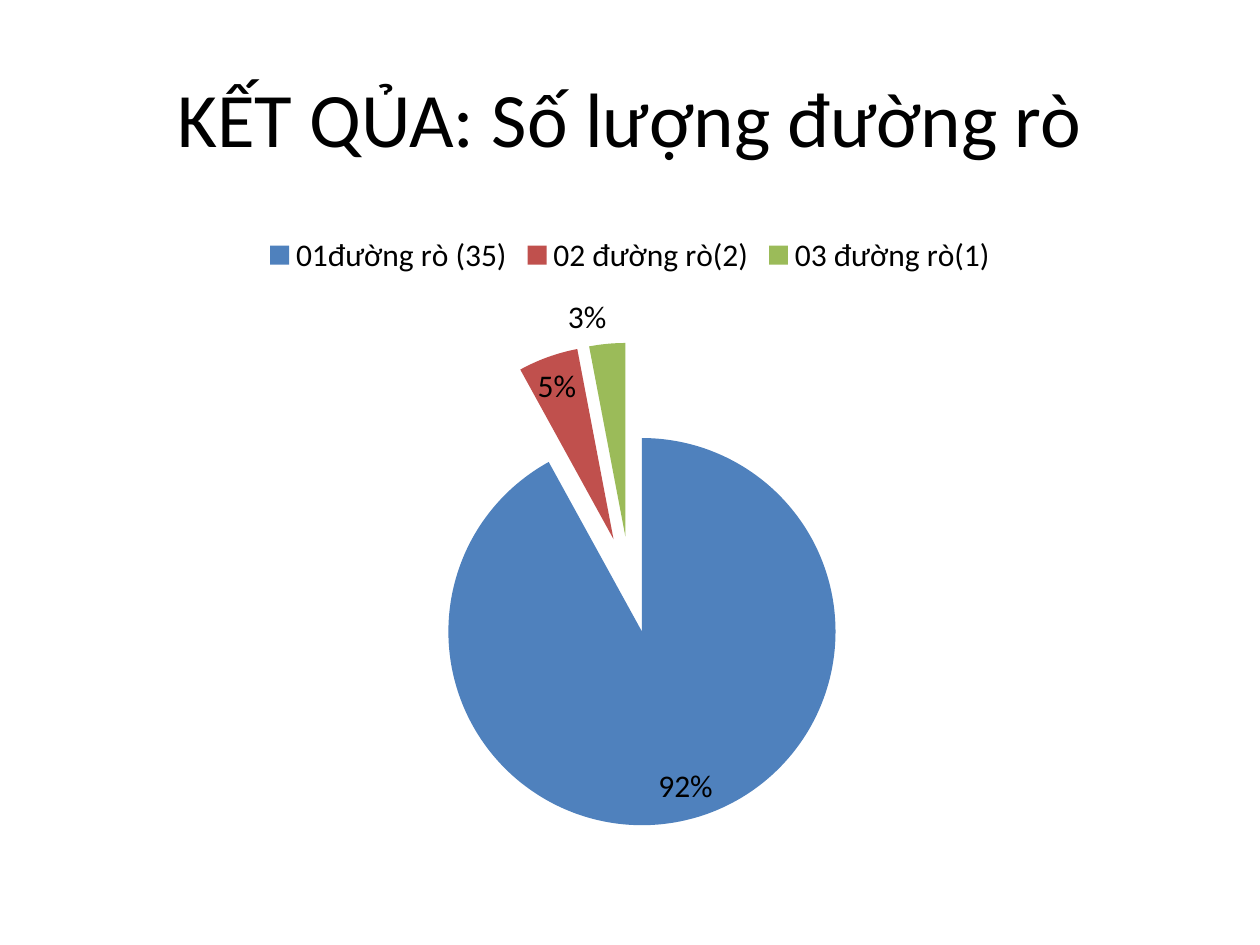
from dataclasses import dataclass

from lxml.etree import QName
from pptx import Presentation
from pptx.chart.chart import Chart
from pptx.chart.data import CategoryChartData
from pptx.chart.series import PieSeries
from pptx.dml.color import RGBColor
from pptx.enum.chart import XL_CHART_TYPE as ChartType
from pptx.enum.chart import XL_LABEL_POSITION as LabelPosition
from pptx.enum.chart import XL_LEGEND_POSITION as LegendPosition
from pptx.enum.text import MSO_ANCHOR as Anchor
from pptx.enum.text import PP_ALIGN as Align
from pptx.oxml import parse_xml
from pptx.oxml.ns import nsdecls, qn
from pptx.util import Inches, Pt

FONT = "Calibri"
BLACK = "000000"
EXPLOSION = 25


@dataclass(frozen=True)
class Slice:
    label: str
    percent: int
    colour: str


@dataclass(frozen=True)
class Area:
    left: float
    top: float
    width: float
    height: float


TITLE_AREA = Area(0.05, 0.04, 0.9, 1 / 6)
CHART_AREA = Area(0.05, 7 / 30, 0.9, 0.66)
SLICES = [
    Slice("01đường rò (35)", 92, "4F81BD"),
    Slice("02 đường rò(2)", 5, "C0504D"),
    Slice("03 đường rò(1)", 3, "9BBB59"),
]


def colour(value: str) -> RGBColor:
    return RGBColor.from_string(value)


def set_font(font, size: int) -> None:
    font.name = FONT
    font.size = Pt(size)
    font.color.rgb = colour(BLACK)


def place(deck, area: Area) -> tuple[int, int, int, int]:
    return (
        round(area.left * deck.slide_width),
        round(area.top * deck.slide_height),
        round(area.width * deck.slide_width),
        round(area.height * deck.slide_height),
    )


def write_title(deck, page, text: str) -> None:
    title = page.shapes.title
    title.left, title.top, title.width, title.height = place(deck, TITLE_AREA)
    frame = title.text_frame
    frame.text = text
    frame.vertical_anchor = Anchor.MIDDLE
    para = frame.paragraphs[0]
    para.alignment = Align.CENTER
    set_font(para.font, 44)


def explode(series: PieSeries, percent: int) -> None:
    element = parse_xml(f'<c:explosion {nsdecls("c")} val="{percent}"/>')
    series.format.fill.background()
    properties = series._element.find(qn("c:spPr"))
    assert QName(properties).localname == "spPr"
    properties.addnext(element)


def colour_slices(series: PieSeries, slices: list[Slice]) -> None:
    for index, item in enumerate(slices):
        fill = series.points[index].format.fill
        fill.solid()
        fill.fore_color.rgb = colour(item.colour)


def show_percentages(chart: Chart) -> None:
    plot = chart.plots[0]
    plot.vary_by_categories = True
    plot.has_data_labels = True
    labels = plot.data_labels
    labels.show_percentage = True
    labels.show_value = False
    labels.number_format = "0%"
    labels.number_format_is_linked = False
    labels.position = LabelPosition.BEST_FIT
    set_font(labels.font, 18)


def add_pie(deck, page, slices: list[Slice]) -> None:
    data = CategoryChartData()
    data.categories = [item.label for item in slices]
    data.add_series("Series 1", [item.percent for item in slices])
    chart = page.shapes.add_chart(ChartType.PIE, *place(deck, CHART_AREA), data).chart
    set_font(chart.font, 18)
    chart.has_title = False
    chart.has_legend = True
    chart.legend.position = LegendPosition.TOP
    chart.legend.include_in_layout = False
    set_font(chart.legend.font, 18)
    series = chart.plots[0].series[0]
    explode(series, EXPLOSION)
    colour_slices(series, slices)
    show_percentages(chart)


def main() -> None:
    deck = Presentation()
    deck.slide_width, deck.slide_height = Inches(10), Inches(7.5)
    page = deck.slides.add_slide(deck.slide_layouts[5])
    write_title(deck, page, "KẾT QỦA: Số lượng đường rò")
    add_pie(deck, page, SLICES)
    deck.save("out.pptx")


if __name__ == "__main__":
    main()
